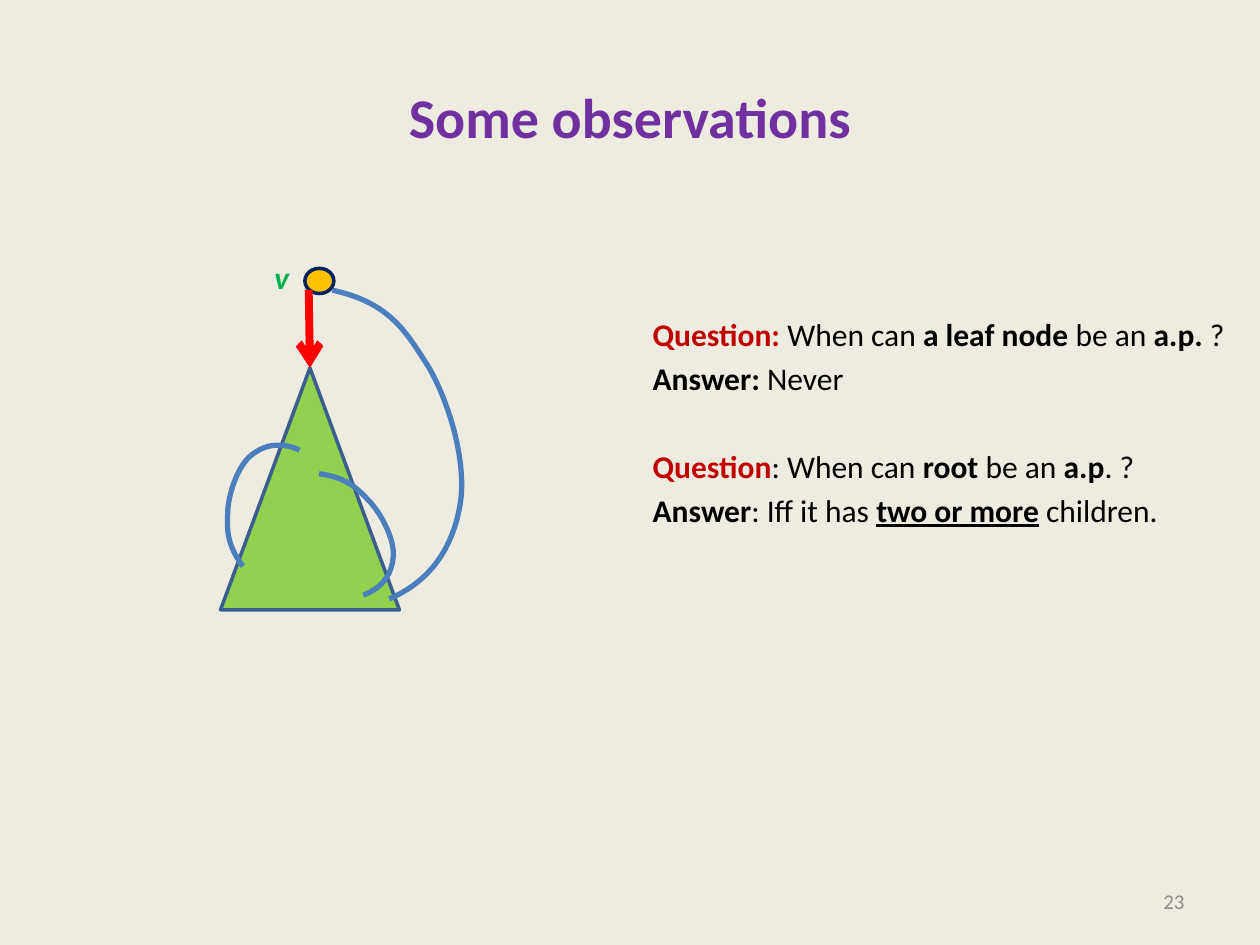
from dataclasses import dataclass, field

from lxml.etree import SubElement
from pptx import Presentation
from pptx.dml.color import RGBColor
from pptx.enum.shapes import MSO_CONNECTOR as Connector, MSO_SHAPE as Preset
from pptx.enum.text import MSO_ANCHOR as Anchor, MSO_AUTO_SIZE as AutoSize, PP_ALIGN as Align
from pptx.oxml.ns import qn
from pptx.util import Inches, Pt

Point = tuple[float, float]
Box = tuple[float, float, float, float]


@dataclass(frozen=True)
class Theme:
    font: str = "Calibri"
    background: str = "EEECE1"
    title: str = "7030A0"
    question: str = "C00000"
    text: str = "000000"
    page: str = "8C8C8C"
    vertex_label: str = "00B050"
    subtree: str = "92D050"
    subtree_edge: str = "3A5F8C"
    vertex: str = "FFC000"
    vertex_edge: str = "002060"
    tree_edge: str = "FF0000"
    back_edge: str = "4B7EBC"
    title_size: int = 32
    text_size: int = 18
    page_size: int = 12
    outline: float = 2
    back_edge_width: float = 3
    tree_edge_width: float = 4.5


THEME = Theme()
BOLD = {"bold": True}


@dataclass(frozen=True)
class Span:
    text: str
    format: dict = field(default_factory=dict)
    color: str = THEME.text
    size: int = THEME.text_size


@dataclass(frozen=True)
class Statement:
    spans: list[Span]
    space_before: float = 3.6


@dataclass(frozen=True)
class Node:
    preset: Preset
    box: Box
    fill: str
    edge: str


@dataclass(frozen=True)
class BackEdge:
    box: Box
    rotation: float


STATEMENTS = [
    Statement([Span("Question: ", BOLD, THEME.question), Span("When can"),
               Span(" a leaf node ", BOLD), Span("be an "), Span("a.p.", BOLD), Span(" ?")]),
    Statement([Span("Answer: ", BOLD), Span("Never")]),
    Statement([Span("Question", BOLD, THEME.question), Span(": When can "),
               Span("root", BOLD), Span(" be an "), Span("a.p", BOLD), Span(". ?")],
              space_before=28.5),
    Statement([Span("Answer", BOLD), Span(": Iff it has "),
               Span("two or more", {"bold": True, "underline": True}),
               Span(" ", BOLD), Span("children.")]),
]

NODES = [
    Node(Preset.ISOSCELES_TRIANGLE, (1.75, 2.92, 1.42, 1.92), THEME.subtree, THEME.subtree_edge),
    Node(Preset.OVAL, (2.42, 2.13, 0.23, 0.2), THEME.vertex, THEME.vertex_edge),
]

# The bend shared by all back edges, as fractions of the box:
# its start, then two controls and an end for each cubic curve.
BEND_START: Point = (0.71, 1)
BEND_CURVES: list[tuple[Point, Point, Point]] = [
    ((0.95, 0.9), (1.01, 0.76), (1, 0.63)),
    ((0.99, 0.49), (0.82, 0.3), (0.65, 0.19)),
    ((0.48, 0.09), (0.35, 0), (0, 0)),
]
BACK_EDGES = [
    BackEdge((1.76, 3.5, 0.67, 0.91), 233.6),
    BackEdge((2.47, 3.8, 0.67, 0.91), 7.6),
    BackEdge((2.38, 2.42, 1.35, 2.3), 12.2),
]


def rgb(color: str) -> RGBColor:
    return RGBColor.from_string(color)


def place(shape, box: Box) -> None:
    for side, length in zip(("left", "top", "width", "height"), box):
        setattr(shape, side, Inches(length))


def write(paragraph, spans: list[Span]) -> None:
    for span in spans:
        run = paragraph.add_run()
        run.text = span.text
        values = {"name": THEME.font, "size": Pt(span.size), "bold": False} | span.format
        for name, value in values.items():
            setattr(run.font, name, value)
        run.font.color.rgb = rgb(span.color)


def set_line(line, color: str, width: float) -> None:
    line.color.rgb = rgb(color)
    line.width = Pt(width)


def write_title(title) -> None:
    place(title, (0.5, 0.3, 9, 1.25))
    title.text_frame.vertical_anchor = Anchor.MIDDLE
    heading = title.text_frame.paragraphs[0]
    heading.alignment = Align.CENTER
    write(heading, [Span("Some observations", BOLD, THEME.title, THEME.title_size)])


def write_statements(body) -> None:
    place(body, (5.08, 1.75, 4.75, 4.95))
    frame = body.text_frame
    frame.auto_size = AutoSize.NONE
    frame.margin_top = Inches(0.75)
    for index, statement in enumerate(STATEMENTS):
        paragraph = frame.add_paragraph() if index else frame.paragraphs[0]
        paragraph.space_before = Pt(statement.space_before)
        properties = paragraph._p.get_or_add_pPr()
        properties.set("marL", "0")
        properties.set("indent", "0")
        SubElement(properties, qn("a:buNone"))
        write(paragraph, statement.spans)


def write_page_number(shapes) -> None:
    frame = shapes.add_textbox(*map(Inches, (7.17, 6.95, 2.33, 0.4))).text_frame
    frame.word_wrap = True
    frame.vertical_anchor = Anchor.MIDDLE
    frame.paragraphs[0].alignment = Align.RIGHT
    write(frame.paragraphs[0], [Span("23", color=THEME.page, size=THEME.page_size)])


def draw_node(shapes, node: Node) -> None:
    shape = shapes.add_shape(node.preset, *map(Inches, node.box))
    shape.shadow.inherit = False
    shape.fill.solid()
    shape.fill.fore_color.rgb = rgb(node.fill)
    set_line(shape.line, node.edge, THEME.outline)


def draw_tree_edge(shapes, start: Point, end: Point) -> None:
    edge = shapes.add_connector(Connector.STRAIGHT, *map(Inches, start + end))
    set_line(edge.line, THEME.tree_edge, THEME.tree_edge_width)
    SubElement(edge.line._get_or_add_ln(), qn("a:tailEnd"), type="arrow")
    SubElement(edge._element.spPr, qn("a:effectLst"))


def label_vertex(shapes) -> None:
    frame = shapes.add_textbox(*map(Inches, (2.08, 2, 0.32, 0.4))).text_frame
    frame.word_wrap = False
    frame.auto_size = AutoSize.SHAPE_TO_FIT_TEXT
    write(frame.paragraphs[0], [Span("v", {"bold": True, "italic": True}, THEME.vertex_label)])


def draw_back_edge(shapes, edge: BackEdge) -> None:
    """Outline the bend's joints, then turn each straight segment into a cubic curve."""
    left, top, width, height = map(Inches, edge.box)

    def scaled(point: Point) -> tuple[int, int]:
        return round(point[0] * width), round(point[1] * height)

    joints = [scaled(end) for *_, end in BEND_CURVES]
    builder = shapes.build_freeform(*scaled(BEND_START))
    builder.add_line_segments(joints, close=False)
    curve = builder.convert_to_shape(left, top)
    segments = list(curve._element.iter(qn("a:lnTo")))
    for segment, points in zip(segments, BEND_CURVES):
        cubic = segment.getparent().makeelement(qn("a:cubicBezTo"))
        for x, y in map(scaled, points):
            SubElement(cubic, qn("a:pt"), x=str(x), y=str(y))
        segment.getparent().replace(segment, cubic)
    curve.rotation = edge.rotation
    curve.shadow.inherit = False
    curve.fill.background()
    set_line(curve.line, THEME.back_edge, THEME.back_edge_width)


def main() -> None:
    deck = Presentation()
    deck.slide_width, deck.slide_height = Inches(10), Inches(7.5)
    slide = deck.slides.add_slide(deck.slide_layouts[1])
    slide.background.fill.solid()
    slide.background.fill.fore_color.rgb = rgb(THEME.background)
    write_title(slide.shapes.title)
    write_statements(slide.placeholders[1])
    write_page_number(slide.shapes)
    tree = slide.shapes.add_group_shape().shapes
    for node in NODES:
        draw_node(tree, node)
    draw_tree_edge(tree, (2.45, 2.3), (2.46, 2.92))
    label_vertex(tree)
    for edge in BACK_EDGES:
        draw_back_edge(slide.shapes, edge)
    deck.save("out.pptx")


if __name__ == "__main__":
    main()
